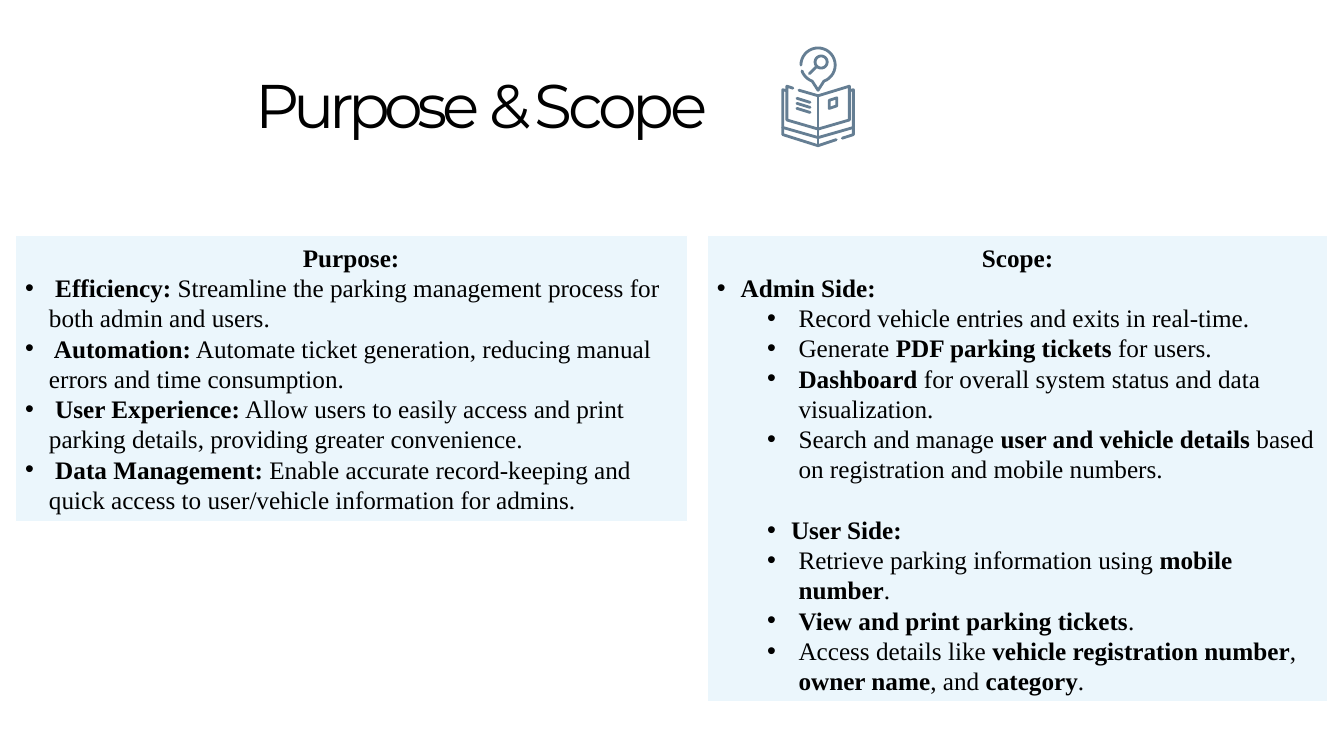
from math import cos, radians, sin

from pptx import Presentation
from pptx.dml.color import RGBColor
from pptx.enum.text import MSO_ANCHOR as Anchor, MSO_AUTO_SIZE as AutoSize, PP_ALIGN as Align
from pptx.oxml import parse_xml
from pptx.oxml.ns import nsdecls
from pptx.util import Cm, Pt

BLACK, WHITE, PANEL, ICON = "000000", "FFFFFF", "EBF6FC", "657E93"

# Left margin and hanging indent of each kind of list line, in cm
ITEM, SUB_ITEM, SUB_HEADING = (0.6, 0.6), (2.06, 0.79), (1.87, 0.6)
LINE_GAP = Pt(21.6)

# Text between ** marks is bold
PURPOSE = [
    (ITEM, "** Efficiency:** Streamline the parking management process for both admin and users."),
    (ITEM, "** Automation:** Automate ticket generation, reducing manual errors and time consumption."),
    (ITEM, "** User Experience:** Allow users to easily access and print parking details, "
           "providing greater convenience."),
    (ITEM, "** Data Management:** Enable accurate record-keeping and quick access to "
           "user/vehicle information for admins."),
]
SCOPE = [
    (ITEM, "**Admin Side:**"),
    (SUB_ITEM, "Record vehicle entries and exits in real-time."),
    (SUB_ITEM, "Generate **PDF parking tickets** for users."),
    (SUB_ITEM, "**Dashboard** for overall system status and data visualization."),
    (SUB_ITEM, "Search and manage **user and vehicle details** based on registration and mobile numbers."),
    (SUB_HEADING, "**User Side:**"),
    (SUB_ITEM, "Retrieve parking information using **mobile number**."),
    (SUB_ITEM, "**View and print parking tickets**."),
    (SUB_ITEM, "Access details like **vehicle registration number**, **owner name**, and **category**."),
]


def color(hex_string):
    return RGBColor.from_string(hex_string)


def place(shape, box):
    shape.left, shape.top, shape.width, shape.height = (Cm(length) for length in box)


def set_font(paragraph, name, size):
    font = paragraph.font
    font.name, font.size = name, Pt(size)
    font.color.rgb = color(BLACK)


def set_bullet(paragraph, margin, hanging, bulleted):
    properties = paragraph._p.get_or_add_pPr()
    properties.set("marL", str(Cm(margin)))
    properties.set("indent", str(-Cm(hanging)))
    if bulleted:
        properties.append(parse_xml(f'<a:buFont {nsdecls("a")} typeface="Arial"/>'))
        properties.append(parse_xml(f'<a:buChar {nsdecls("a")} char="•"/>'))
    else:
        properties.append(parse_xml(f'<a:buNone {nsdecls("a")}/>'))


def add_title(title, box):
    place(title, box)
    frame = title.text_frame
    frame.auto_size, frame.vertical_anchor = AutoSize.NONE, Anchor.TOP
    frame.margin_left = frame.margin_right = frame.margin_bottom = 0
    frame.margin_top = Cm(0.03)
    paragraph = frame.paragraphs[0]
    paragraph.alignment = Align.LEFT
    set_font(paragraph, "Montserrat", 44)
    # Letter spacing in hundredths of a point
    for text, spacing in (("Purpose ", -400), ("& ", -940), ("Scope", -290)):
        run = paragraph.add_run()
        run.text = text
        run._r.get_or_add_rPr().set("spc", str(spacing))


def add_panel(panel, box, heading, items, line_width):
    place(panel, box)
    panel.fill.solid()
    panel.fill.fore_color.rgb = color(PANEL)
    panel.line.color.rgb = color(WHITE)
    panel.line.width = Pt(line_width)
    frame = panel.text_frame
    frame.word_wrap = True
    frame.auto_size, frame.vertical_anchor = AutoSize.NONE, Anchor.MIDDLE
    lines = [(None, f"**{heading}**")] + items
    for index, (kind, text) in enumerate(lines):
        paragraph = frame.add_paragraph() if index else frame.paragraphs[0]
        set_bullet(paragraph, *(kind or (0, 0)), bulleted=kind is not None)
        paragraph.alignment = Align.LEFT if kind else Align.CENTER
        paragraph.space_before = LINE_GAP if kind is SUB_HEADING else Pt(0)
        set_font(paragraph, "Times New Roman", 18)
        for part, words in enumerate(text.split("**")):
            if words:
                run = paragraph.add_run()
                run.text = words
                run.font.bold = part % 2 == 1


def arc(center_x, center_y, radius, start, end):
    return [(center_x + radius * cos(radians(angle)), center_y + radius * sin(radians(angle)))
            for angle in range(start, end + 1, 10)]


def add_book_icon(slide, left, top, height):
    unit = height / 100
    strokes = [
        # Map pin and magnifier
        arc(36.5, 18.5, 17, 180, 430) + [(36.5, 43.5)] + arc(36.5, 18.5, 17, 110, 160),
        arc(39.5, 15.5, 6, 0, 360),
        [(35, 20), (28, 27)],
        # Pages, spine and bookmark
        [(11.5, 41.5), (5.5, 39.5), (5.5, 73), (36.5, 82), (67.5, 73), (67.5, 39.5),
         (36.5, 49), (17.5, 43.5)],
        [(36.5, 49), (36.5, 97.5)],
        [(47.5, 53.5), (55, 51), (55, 59), (47.5, 61.5), (47.5, 53.5)],
        # Cover
        [(5.5, 44), (1.5, 43), (1.5, 80.5), (36.5, 90.5), (71.5, 80.5), (71.5, 43), (67.5, 44)],
        [(1.5, 80.5), (1.5, 87.5), (36.5, 98.5), (54.5, 92.5)],
        [(71.5, 80.5), (71.5, 87.5), (60.5, 91)],
    ]
    # Lines of text on the left page
    strokes += [[(15.5, y), (28.5, y + 4)] for y in (51.5, 56.5, 61.5)]
    group = slide.shapes.add_group_shape()
    for stroke in strokes:
        points = [(Cm(left + x * unit), Cm(top + y * unit)) for x, y in stroke]
        builder = group.shapes.build_freeform(*points[0])
        builder.add_line_segments(points[1:], close=False)
        outline = builder.convert_to_shape()
        outline.shadow.inherit = False
        outline.fill.background()
        outline.line.color.rgb = color(ICON)
        outline.line.width = Pt(2)
        outline.element.spPr.get_or_add_ln().set("cap", "rnd")


def main():
    presentation = Presentation()
    presentation.slide_width, presentation.slide_height = Cm(33.87), Cm(19.05)
    slide = presentation.slides.add_slide(presentation.slide_layouts[3])
    title, scope, purpose = slide.placeholders
    add_title(title, (6.43, 1.65, 17.48, 1.93))
    add_panel(scope, (17.81, 5.92, 15.67, 11.79), "Scope:", SCOPE, 2)
    add_panel(purpose, (0.38, 5.94, 16.94, 7.19), "Purpose:", PURPOSE, 0.75)
    add_book_icon(slide, 19.69, 1.17, 2.54)
    presentation.save("out.pptx")


if __name__ == "__main__":
    main()
